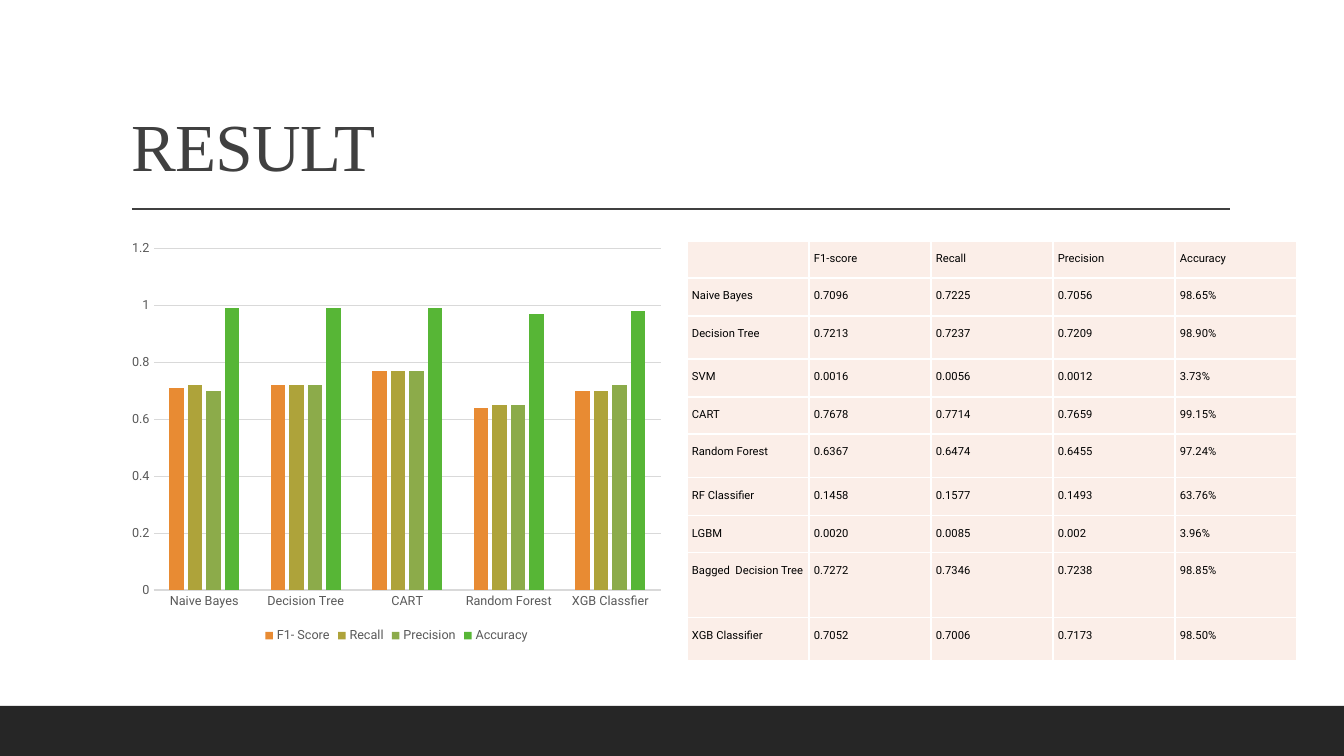
from dataclasses import dataclass
from lxml import etree
from pptx import Presentation
from pptx import util as u
from pptx.chart.data import CategoryChartData
from pptx.dml.color import RGBColor
from pptx.enum import chart as charts, shapes, text
from pptx.oxml import parse_xml
from pptx.oxml.ns import nsdecls, qn

PX = 12192000 / 1344


def px(length):
    return u.Emu(round(length * PX))


def assign(target, values):
    for name, value in values.items():
        setattr(target, name, value)


@dataclass(frozen=True)
class Theme:
    heading_font: str = "Times New Roman"
    body_font: str = "Roboto"
    ink: str = "404040"
    band: str = "262626"
    black: str = "000000"
    label: str = "595959"
    grid: str = "D9D9D9"
    cell: str = "FBEEE8"
    border: str = "FFFFFF"
    series: tuple = ("E88B33", "AEA33A", "8CAB4A", "57B636")
    title_size: int = 48
    chart_size: int = 10
    label_size: int = 9
    table_size: int = 8


class Slide:
    def __init__(self, deck, theme):
        self.theme = theme
        self.page = deck.slides.add_slide(deck.slide_layouts[5])

    def font(self, font, name, size, color):
        assign(font, {"name": name, "size": u.Pt(size)})
        font.color.rgb = RGBColor.from_string(color)

    def line(self, line, color, width):
        line.color.rgb = RGBColor.from_string(color)
        line.width = u.Pt(width)

    def fill(self, fill, color):
        fill.solid()
        fill.fore_color.rgb = RGBColor.from_string(color)

    def title(self, wording, left, top, width, height):
        box = self.page.shapes.title
        assign(box, {"left": px(left), "top": px(top), "width": px(width), "height": px(height)})
        assign(box.text_frame, {
            "text": wording, "word_wrap": True,
            "auto_size": text.MSO_AUTO_SIZE.NONE,
            "vertical_anchor": text.MSO_ANCHOR.BOTTOM,
        })
        para = box.text_frame.paragraphs[0]
        assign(para, {"alignment": text.PP_ALIGN.LEFT, "line_spacing": 0.9})
        span = para.runs[0]
        self.font(span.font, self.theme.heading_font, self.theme.title_size, self.theme.ink)
        span._r.get_or_add_rPr().set("spc", "-50")

    def band(self, left, top, width, height):
        box = self.page.shapes.add_shape(
            shapes.MSO_SHAPE.RECTANGLE, px(left), px(top), px(width), px(height))
        box.shadow.inherit = False
        self.fill(box.fill, self.theme.band)
        box.line.fill.background()

    def rule(self, left, top, right):
        rule = self.page.shapes.add_connector(
            shapes.MSO_CONNECTOR.STRAIGHT, px(left), px(top), px(right), px(top))
        self.line(rule.line, self.theme.ink, 1)
        etree.SubElement(rule._element.spPr, qn("a:effectLst"))

    def columns(self, categories, scores, left, top, width, height):
        theme = self.theme
        data = CategoryChartData()
        data.categories = categories
        for name, values in scores.items():
            data.add_series(name, values)
        chart = self.page.shapes.add_chart(
            charts.XL_CHART_TYPE.COLUMN_CLUSTERED,
            px(left), px(top), px(width), px(height), data).chart
        assign(chart, {"has_title": False, "has_legend": True})
        self.font(chart.font, theme.body_font, theme.chart_size, theme.black)
        assign(chart.legend, {
            "position": charts.XL_LEGEND_POSITION.BOTTOM, "include_in_layout": False})
        self.font(chart.legend.font, theme.body_font, theme.label_size, theme.label)
        for axis in (chart.category_axis, chart.value_axis):
            assign(axis, {
                "major_tick_mark": charts.XL_TICK_MARK.NONE,
                "minor_tick_mark": charts.XL_TICK_MARK.NONE,
            })
            self.font(axis.tick_labels.font, theme.body_font, theme.label_size, theme.label)
        self.line(chart.category_axis.format.line, theme.grid, 0.75)
        assign(chart.value_axis, {
            "minimum_scale": 0, "maximum_scale": 1.2, "major_unit": 0.2,
            "has_major_gridlines": True})
        chart.value_axis.format.line.fill.background()
        self.line(chart.value_axis.major_gridlines.format.line, theme.grid, 0.75)
        assign(chart.plots[0], {"gap_width": 219, "overlap": -27, "vary_by_categories": False})
        for series, color in zip(chart.plots[0].series, theme.series):
            self.fill(series.format.fill, color)

    def table(self, rows, left, top, column_width, row_heights):
        count = len(rows[0])
        table = self.page.shapes.add_table(
            len(rows), count, px(left), px(top),
            px(column_width * count), px(sum(row_heights))).table
        assign(table, {"first_row": False, "horz_banding": False})
        for column in table.columns:
            column.width = px(column_width)
        for row, height, words in zip(table.rows, row_heights, rows):
            row.height = px(height)
            for cell, word in zip(row.cells, words):
                self.cell(cell, word)

    def cell(self, cell, word):
        theme = self.theme
        assign(cell, {f"margin_{side}": px(5) for side in ("left", "top", "right", "bottom")})
        properties = cell._tc.get_or_add_tcPr()
        for side in "LRTB":
            properties.append(parse_xml(
                f'<a:ln{side} {nsdecls("a")} w="{u.Pt(1)}"><a:solidFill>'
                f'<a:srgbClr val="{theme.border}"/></a:solidFill></a:ln{side}>'))
        self.fill(cell.fill, theme.cell)
        para = cell.text_frame.paragraphs[0]
        para.line_spacing = 1.5
        if word:
            span = para.add_run()
            span.text = word
            self.font(span.font, theme.body_font, theme.table_size, theme.black)
        else:
            ending = etree.SubElement(para._p, qn("a:endParaRPr"))
            ending.set("sz", str(theme.table_size * 100))


CATEGORIES = ("Naive Bayes", "Decision Tree", "CART", "Random Forest", "XGB Classfier")
SCORES = {
    "F1- Score": (0.71, 0.72, 0.77, 0.64, 0.7),
    "Recall": (0.72, 0.72, 0.77, 0.65, 0.7),
    "Precision": (0.7, 0.72, 0.77, 0.65, 0.72),
    "Accuracy": (0.99, 0.99, 0.99, 0.97, 0.98),
}
RESULTS = (
    ("", "F1-score", "Recall", "Precision", "Accuracy"),
    ("Naive Bayes", "0.7096", "0.7225", "0.7056", "98.65%"),
    ("Decision Tree", "0.7213", "0.7237", "0.7209", "98.90%"),
    ("SVM", "0.0016", "0.0056", "0.0012", "3.73%"),
    ("CART", "0.7678", "0.7714", "0.7659", "99.15%"),
    ("Random Forest", "0.6367", "0.6474", "0.6455", "97.24%"),
    ("RF Classifier", "0.1458", "0.1577", "0.1493", "63.76%"),
    ("LGBM", "0.0020", "0.0085", "0.002", "3.96%"),
    ("Bagged  Decision Tree", "0.7272", "0.7346", "0.7238", "98.85%"),
    ("XGB Classifier", "0.7052", "0.7006", "0.7173", "98.50%"),
)
ROW_HEIGHTS = (37, 38, 43, 38, 37, 44, 38, 37, 65, 43)


def main():
    deck = Presentation()
    assign(deck, {"slide_width": px(1344), "slide_height": px(756)})
    slide = Slide(deck, Theme())
    slide.band(0, 706, 1344, 50)
    slide.rule(132, 209, 1230)
    slide.title("RESULT", 121, 31, 1109, 160)
    slide.columns(CATEGORIES, SCORES, 121, 233, 551, 414)
    slide.table(RESULTS, 687, 241, 122, ROW_HEIGHTS)
    deck.save("out.pptx")


if __name__ == "__main__":
    main()
